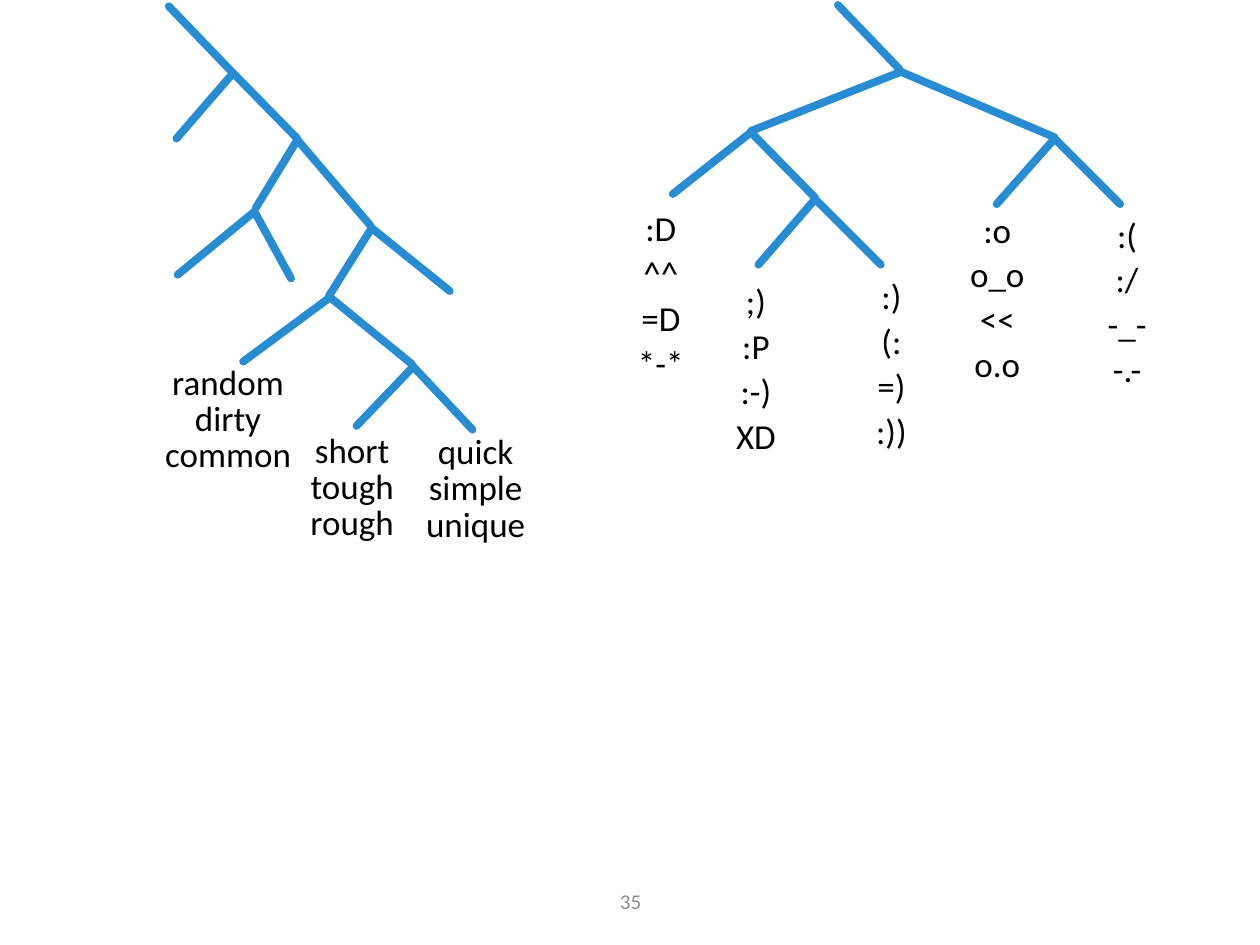
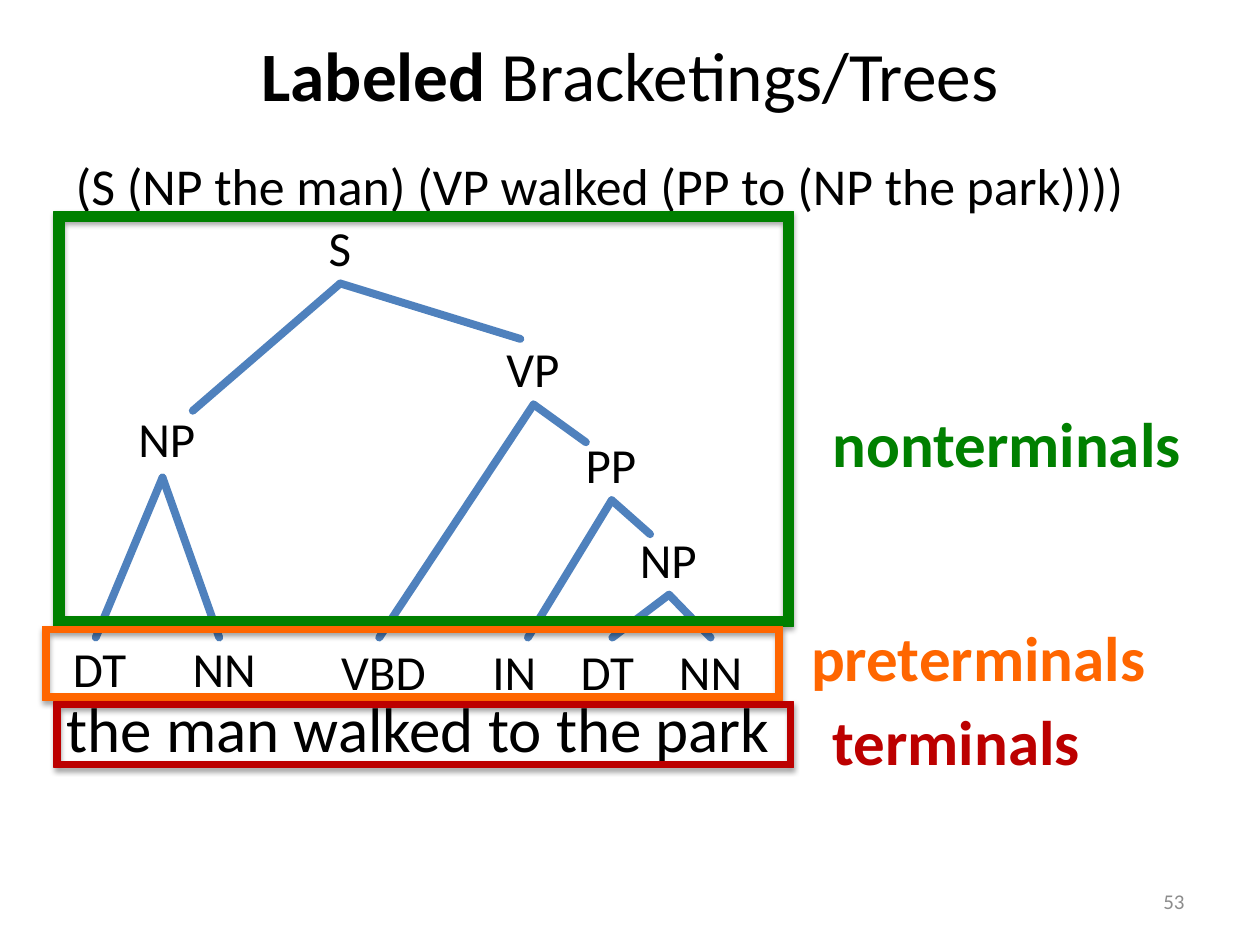
from dataclasses import dataclass
from typing import Optional

from lxml import etree
from pptx import Presentation
from pptx import util as u
from pptx.dml import color
from pptx.enum import shapes, text
from pptx.oxml import parse_xml
from pptx.oxml.ns import nsdecls, qn

Point = tuple[float, float]

FONT = "Calibri"
BLACK, GREY = "000000", "8C8C8C"
CLUSTER_BLUE, PARSE_BLUE = "288CD2", "4F81BD"
GREEN, ORANGE, RED = "008000", "FF6600", "BC0000"
LEFT, CENTER, RIGHT = text.PP_ALIGN.LEFT, text.PP_ALIGN.CENTER, text.PP_ALIGN.RIGHT


@dataclass
class Fork:
    apex: Point
    ends: tuple[Point, ...]


@dataclass
class Cluster:
    left: float
    top: float
    width: float
    height: float
    words: str
    spacing: float


@dataclass
class Label:
    words: str
    left: float
    top: float
    width: float
    size: float = 28
    hue: str = BLACK
    bold: bool = False


@dataclass
class Node:
    label: Label
    ends: tuple[Point, ...]
    apex: Optional[Point] = None


@dataclass
class Band:
    left: float
    top: float
    height: float
    thickness: float
    hue: str


CLUSTER_FORKS = [
    Fork((1.34, 0.05), ((1.84, 0.57),)),
    Fork((1.85, 0.58), ((1.4, 1.1), (2.36, 1.1))),
    Fork((2.36, 1.11), ((2.03, 1.65), (2.94, 1.79))),
    Fork((2.02, 1.68), ((1.41, 2.18), (2.31, 2.21))),
    Fork((2.95, 1.81), ((2.61, 2.35), (3.57, 2.31))),
    Fork((2.62, 2.36), ((1.93, 2.87), (3.27, 2.89))),
    Fork((3.28, 2.91), ((2.83, 3.38), (3.75, 3.41))),
    Fork((6.65, 0.04), ((7.14, 0.55),)),
    Fork((7.15, 0.57), ((5.96, 1.04), (8.37, 1.09))),
    Fork((5.96, 1.05), ((5.34, 1.54), (6.47, 1.57))),
    Fork((6.47, 1.58), ((6.02, 2.1), (6.99, 2.1))),
    Fork((8.37, 1.1), ((7.91, 1.62), (8.89, 1.62))),
]
CLUSTERS = [
    Cluster(3.23, 3.45, 1.09, 1.01, "quick simple unique", 0.7),
    Cluster(2.25, 3.44, 1.09, 1.01, "short tough rough", 0.7),
    Cluster(1.15, 2.9, 1.32, 1.01, "random dirty common", 0.7),
    Cluster(5.68, 2.21, 0.64, 1.35, ";) :P :-) XD", 0.9),
    Cluster(4.83, 1.63, 0.83, 1.33, ":D ^^ =D *-*", 0.9),
    Cluster(6.53, 2.17, 1.09, 1.49, ":) (: =) :))", 0.9),
    Cluster(7.49, 1.64, 0.85, 1.36, ":o o_o << o.o", 0.9),
    Cluster(8.52, 1.68, 0.85, 1.64, ":( :/ -_- -.-", 0.9),
]

LEAF_Y = 5.06
NODES = [
    Node(Label("S", 2.51, 1.68, 0.38), ((1.53, 3.26), (4.13, 2.69))),
    Node(Label("NP", 1, 3.19, 0.66), ((0.76, LEAF_Y), (1.74, LEAF_Y)), (1.29, 3.79)),
    Node(Label("VP", 3.92, 2.64, 0.63), ((3.01, LEAF_Y), (4.65, 3.51))),
    Node(Label("PP", 4.55, 3.4, 0.61), ((4.19, LEAF_Y), (5.16, 4.24))),
    Node(Label("NP", 4.98, 4.15, 0.66), ((4.86, LEAF_Y), (5.64, LEAF_Y))),
]
LABELS = [
    Label("the man walked to the park", 0.43, 5.42, 5.87, 36),
    Label("DT", 0.48, 5.02, 0.63),
    Label("NN", 1.43, 5.02, 0.71),
    Label("VBD", 2.61, 5.04, 0.87),
    Label("IN", 3.81, 5.04, 0.55),
    Label("DT", 4.51, 5.04, 0.63),
    Label("NN", 5.29, 5.04, 0.71),
    Label("preterminals", 6.34, 4.86, 2.9, 36, ORANGE, True),
    Label("nonterminals", 6.51, 3.16, 3, 36, GREEN, True),
    Label("terminals", 6.51, 5.53, 2.19, 36, RED, True),
]
BAND_WIDTH = 5.87
BANDS = [
    Band(0.43, 1.68, 3.29, 0.024, GREEN),
    Band(0.34, 4.97, 0.59, 0.088, ORANGE),
    Band(0.43, 5.57, 0.52, 0.088, RED),
]


def rgb(value: str) -> color.RGBColor:
    return color.RGBColor.from_string(value)


def apply(target, formats: dict) -> None:
    for name, value in formats.items():
        setattr(target, name, value)


def write(p, words: str, size: float, hue: str = BLACK, bold: bool = False) -> None:
    r = p.add_run()
    r.text = words
    apply(r.font, {"name": FONT, "size": u.Pt(size), "bold": bold})
    r.font.color.rgb = rgb(hue)


def add_box(s, left: float, top: float, width: float, height: float, wrap: bool = True):
    sp = s.shapes.add_textbox(*map(u.Inches, (left, top, width, height)))
    sp.text_frame.word_wrap = wrap
    return sp


def add_number(s, number: str, left: float, width: float, align) -> None:
    tf = add_box(s, left, 6.95, width, 0.4).text_frame
    tf.vertical_anchor = text.MSO_ANCHOR.MIDDLE
    tf.paragraphs[0].alignment = align
    write(tf.paragraphs[0], number, 12, GREY)


def add_branch(s, start: Point, end: Point, hue: str):
    line = s.shapes.add_connector(
        shapes.MSO_CONNECTOR.STRAIGHT, *map(u.Inches, (*start, *end)))
    line.line.color.rgb = rgb(hue)
    line.line.width = u.Pt(4.5)
    sp_pr = line._element.spPr
    sp_pr.find(qn("a:ln")).set("cap", "rnd")
    etree.SubElement(sp_pr, qn("a:effectLst"))
    return line


def add_cluster(s, cluster: Cluster) -> None:
    tf = add_box(s, cluster.left, cluster.top, cluster.width, cluster.height).text_frame
    for i, word in enumerate(cluster.words.split()):
        p = tf.add_paragraph() if i else tf.paragraphs[0]
        apply(p, {"alignment": CENTER, "line_spacing": cluster.spacing,
                  "space_before": u.Pt(4 if i else 0)})
        write(p, word, 20)


def add_label(s, label: Label):
    height = 0.57 if label.size == 28 else 0.71
    sp = add_box(s, label.left, label.top, label.width, height, wrap=False)
    sp.text_frame.auto_size = text.MSO_AUTO_SIZE.SHAPE_TO_FIT_TEXT
    write(sp.text_frame.paragraphs[0], label.words, label.size, label.hue, label.bold)
    return sp


def add_node(s, node: Node) -> None:
    label = node.label
    sp = add_label(s, label)
    apex = node.apex or (label.left + label.width / 2, label.top + 0.57)
    for end in node.ends:
        line = add_branch(s, apex, end, PARSE_BLUE)
        if node.apex is None:
            line.begin_connect(sp, 2)


def add_band(s, band: Band) -> None:
    sp = s.shapes.add_shape(shapes.MSO_SHAPE.FRAME, *map(
        u.Inches, (band.left, band.top, BAND_WIDTH, band.height)))
    sp.adjustments[0] = band.thickness
    sp.fill.solid()
    sp.fill.fore_color.rgb = rgb(band.hue)
    sp.line.color.rgb = rgb(band.hue)
    sp.line.width = u.Pt(0.75)
    sp._element.spPr.append(parse_xml(
        f'<a:effectLst {nsdecls("a")}><a:outerShdw blurRad="{u.Pt(3.1)}" '
        f'dist="{u.Pt(1.8)}" dir="5400000" rotWithShape="0"><a:srgbClr val="{BLACK}">'
        '<a:alpha val="35000"/></a:srgbClr></a:outerShdw></a:effectLst>'))


def place(sp, left: float, top: float, width: float, height: float):
    apply(sp, {"left": u.Inches(left), "top": u.Inches(top),
               "width": u.Inches(width), "height": u.Inches(height)})
    return sp.text_frame.paragraphs[0]


def build_clusters(prs) -> None:
    s = prs.slides.add_slide(prs.slide_layouts[6])
    add_number(s, "35", 3.42, 3.17, CENTER)
    for fork in CLUSTER_FORKS:
        for end in fork.ends:
            add_branch(s, fork.apex, end, CLUSTER_BLUE)
    for cluster in CLUSTERS:
        add_cluster(s, cluster)


def build_parse_tree(prs) -> None:
    s = prs.slides.add_slide(prs.slide_layouts[1])
    p = place(s.shapes.title, 0.5, 0.19, 9, 0.79)
    p.alignment = CENTER
    write(p, "Labeled ", 39.6, bold=True)
    write(p, "Bracketings/Trees", 39.6)

    p = place(s.placeholders[1], 0.5, 1.17, 9, 0.78)
    p_pr = p._p.get_or_add_pPr()
    apply(p, {"alignment": LEFT, "space_before": u.Pt(0)})
    p_pr.set("marL", "0")
    p_pr.set("indent", "0")
    etree.SubElement(p_pr, qn("a:buNone"))
    write(p, "(S (NP the man) (VP walked (PP to (NP the park))))", 29.6)

    add_number(s, "53", 7.17, 2.33, RIGHT)
    for node in NODES:
        add_node(s, node)
    for label in LABELS:
        add_label(s, label)
    for band in BANDS:
        add_band(s, band)


def main() -> None:
    prs = Presentation()
    apply(prs, {"slide_width": u.Inches(10), "slide_height": u.Inches(7.5)})
    build_clusters(prs)
    build_parse_tree(prs)
    prs.save("out.pptx")


if __name__ == "__main__":
    main()
